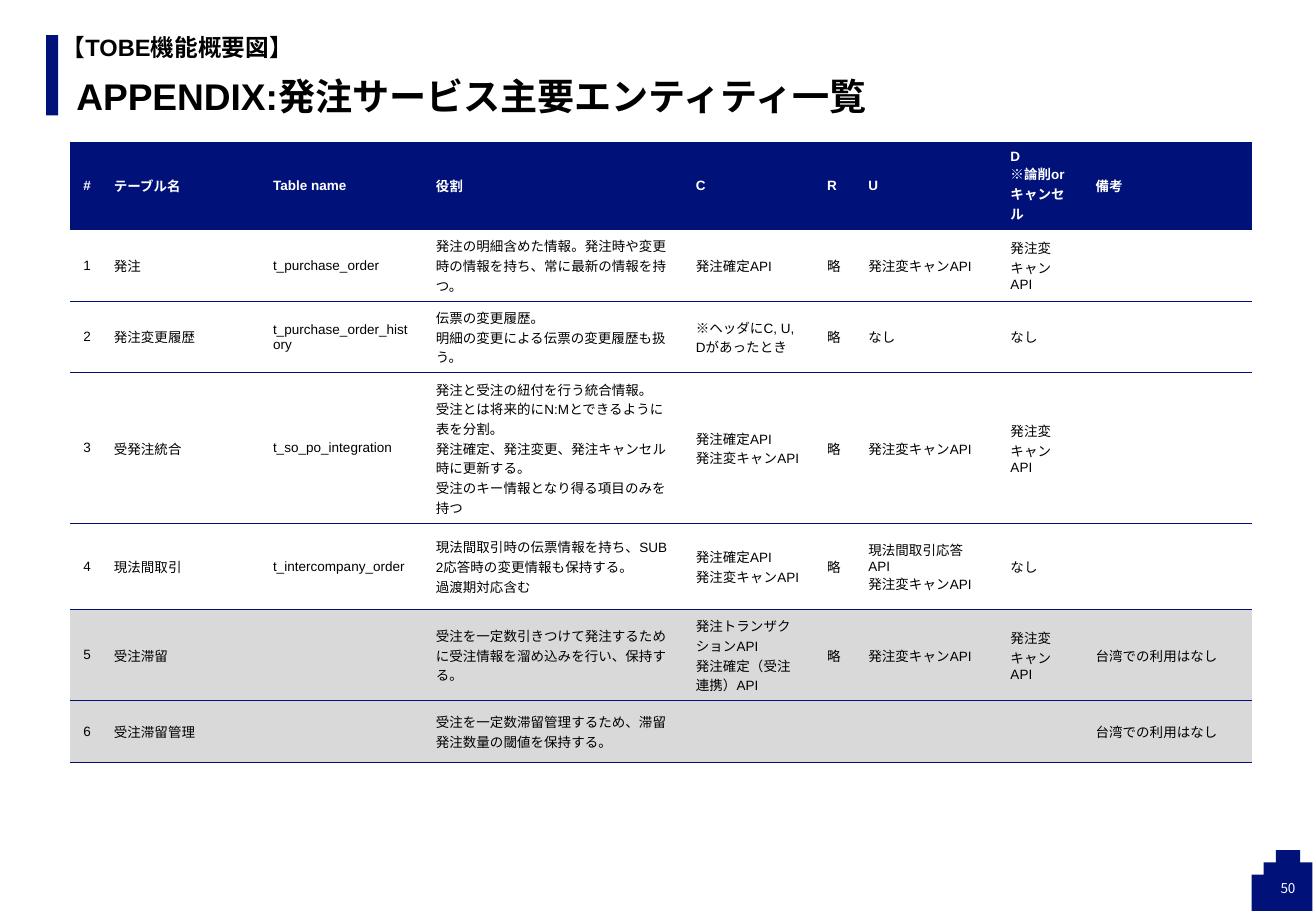
import math
from dataclasses import dataclass

from lxml import etree
from pptx import Presentation
from pptx import util as u
from pptx.dml.color import RGBColor
from pptx.enum import shapes, text
from pptx.oxml.ns import qn

COLUMNS, ROWS = 108.3, 75  # grid of square modules, a tenth of an inch each
NO_GRID_STYLE = "{2D5ABB26-0587-4C30-8999-92F81FD0307C}"


@dataclass(frozen=True)
class Theme:
    navy: str = "001279"
    rule: str = "001178"
    black: str = "000000"
    white: str = "FFFFFF"
    grey: str = "D9D9D9"
    latin: str = "Arial"
    japanese: str = "Noto Sans CJK JP"
    title: float = 22
    section: float = 14
    small: float = 8
    rule_width: float = 0.5


class SlideBuilder:
    def __init__(self, deck, theme):
        self.theme = theme
        self.page = deck.slides.add_slide(deck.slide_layouts[6])

    def grid(self, *modules):
        return [u.Inches(module / 10) for module in modules]

    def paint(self, shape, color):
        shape.fill.solid()
        shape.fill.fore_color.rgb = RGBColor.from_string(color)
        shape.line.fill.background()
        shape.shadow.inherit = False

    def bar(self, place, color):
        box = self.page.shapes.add_shape(shapes.MSO_SHAPE.RECTANGLE, *self.grid(*place))
        self.paint(box, color)

    def corner_disc(self, center, radius, start, end, color):
        """Disc cut off by the right and bottom edges of the slide."""
        points = []
        for degree in range(start, end + 1, 2):
            angle = math.radians(degree)
            points.append((min(COLUMNS, center[0] + radius * math.cos(angle)),
                           min(ROWS, center[1] + radius * math.sin(angle))))
        points.append((COLUMNS, ROWS))
        outline = self.page.shapes.build_freeform(*points[0], scale=u.Inches(0.1))
        outline.add_line_segments(points[1:], close=True)
        self.paint(outline.convert_to_shape(), color)

    def add_words(self, para, words, size, color, bold=False, latin=None):
        for index, line in enumerate(words.split("\n")):
            if index:
                para.add_line_break()
            span = para.add_run()
            span.text = line
            font = span.font
            font.size, font.bold = u.Pt(size), bold
            font.color.rgb = RGBColor.from_string(color)
            font.name = latin or self.theme.latin
            etree.SubElement(span._r.rPr, qn("a:ea"), typeface=self.theme.japanese)

    def label(self, place, words, size, color, bold=False, latin=None,
              align=text.PP_ALIGN.LEFT, spacing=1.0, wrap=True):
        box = self.page.shapes.add_textbox(*self.grid(*place))
        frame = box.text_frame
        frame.word_wrap = wrap
        frame.vertical_anchor = text.MSO_ANCHOR.MIDDLE
        para = frame.paragraphs[0]
        para.alignment, para.line_spacing = align, spacing
        self.add_words(para, words, size, color, bold, latin)

    def rules(self, cell):
        properties = cell._tc.get_or_add_tcPr()
        for side in ("a:lnT", "a:lnB"):
            line = etree.SubElement(properties, qn(side), w=str(u.Pt(self.theme.rule_width)))
            fill = etree.SubElement(line, qn("a:solidFill"))
            etree.SubElement(fill, qn("a:srgbClr"), val=self.theme.rule)

    def cell(self, cell, paragraphs, fill, color, bold):
        cell.vertical_anchor = text.MSO_ANCHOR.MIDDLE
        cell.margin_left, cell.margin_right = self.grid(1.06, 1.06)
        cell.margin_top, cell.margin_bottom = self.grid(0.53, 0.53)
        cell.fill.solid()
        cell.fill.fore_color.rgb = RGBColor.from_string(fill)
        frame = cell.text_frame
        for index, words in enumerate(paragraphs):
            para = frame.add_paragraph() if index else frame.paragraphs[0]
            self.add_words(para, words, self.theme.small, color, bold)

    def table(self, corner, widths, heights, records, shaded):
        theme = self.theme
        place = self.grid(*corner, sum(widths), sum(heights))
        table = self.page.shapes.add_table(len(heights), len(widths), *place).table
        table._tbl.tblPr[0].text = NO_GRID_STYLE
        table.horz_banding = False
        for column, width in zip(table.columns, self.grid(*widths)):
            column.width = width
        for row, height in zip(table.rows, self.grid(*heights)):
            row.height = height
        for number, record in enumerate(records):
            header = number == 0
            plain = theme.grey if number in shaded else theme.white
            for index, entry in enumerate(record):
                cell = table.cell(number, index)
                if not header:
                    self.rules(cell)
                paragraphs = [entry] if isinstance(entry, str) else entry
                self.cell(cell, [words for words in paragraphs if words],
                          theme.navy if header else plain,
                          theme.white if header else theme.black, header)


CONFIRM, CHANGE = "発注確定API", "発注変キャンAPI"
OMITTED, NONE, NOT_TAIWAN = "略", "なし", "台湾での利用はなし"
ENTITIES = [
    ("#", "テーブル名", "Table name", "役割", "C", "R", "U",
     ("D", "※論削orキャンセル"), "備考"),
    ("1", "発注", "t_purchase_order",
     "発注の明細含めた情報。発注時や変更時の情報を持ち、常に最新の情報を持つ。",
     CONFIRM, OMITTED, CHANGE, CHANGE, ""),
    ("2", "発注変更履歴", "t_purchase_order_history",
     ("伝票の変更履歴。", "明細の変更による伝票の変更履歴も扱う。"),
     "※ヘッダにC, U, Dがあったとき", OMITTED, NONE, NONE, ""),
    ("3", "受発注統合", "t_so_po_integration",
     ("発注と受注の紐付を行う統合情報。",
      "受注とは将来的にN:Mとできるように表を分割。",
      "発注確定、発注変更、発注キャンセル時に更新する。",
      "受注のキー情報となり得る項目のみを持つ"),
     (CONFIRM, CHANGE), OMITTED, CHANGE, CHANGE, ""),
    ("4", "現法間取引", "t_intercompany_order",
     ("現法間取引時の伝票情報を持ち、SUB\n2応答時の変更情報も保持する。", "過渡期対応含む"),
     (CONFIRM, CHANGE), OMITTED, ("現法間取引応答API", CHANGE), NONE, ""),
    ("5", "受注滞留", "",
     "受注を一定数引きつけて発注するために受注情報を溜め込みを行い、保持する。",
     ("発注トランザクションAPI", "発注確定（受注連携）API"),
     OMITTED, CHANGE, CHANGE, NOT_TAIWAN),
    ("6", "受注滞留管理", "",
     "受注を一定数滞留管理するため、滞留発注数量の閾値を保持する。",
     "", "", "", "", NOT_TAIWAN),
]


def main():
    deck = Presentation()
    deck.slide_width, deck.slide_height = u.Inches(COLUMNS / 10), u.Inches(ROWS / 10)
    theme = Theme()
    slide = SlideBuilder(deck, theme)

    # Heading
    slide.bar((3.8, 2.9, 1, 6.6), theme.navy)
    slide.label((5.3, 6, 97.6, 4.3), "APPENDIX:発注サービス主要エンティティ一覧",
                theme.title, theme.black, bold=True, spacing=0.9)
    slide.label((4.1, 2.1, 103.9, 3.9), "【TOBE機能概要図】",
                theme.section, theme.black, bold=True, spacing=0.9)

    # Entity table
    slide.table((5.8, 11.7),
                (2.4, 13.1, 13.4, 21.4, 10.8, 3.4, 11.7, 7, 13.9),
                (7.2, 5.9, 5.9, 12.4, 7.1, 7.5, 5.1),
                ENTITIES, shaded=(5, 6))

    # Page number
    slide.corner_disc((106.3, 73.7), 3.4, 158, 306, theme.navy)
    slide.label((104.3, 71.9, 3.4, 2.4), "50", theme.small, theme.white,
                latin=theme.japanese, align=text.PP_ALIGN.CENTER, wrap=False)

    deck.save("out.pptx")


if __name__ == "__main__":
    main()
